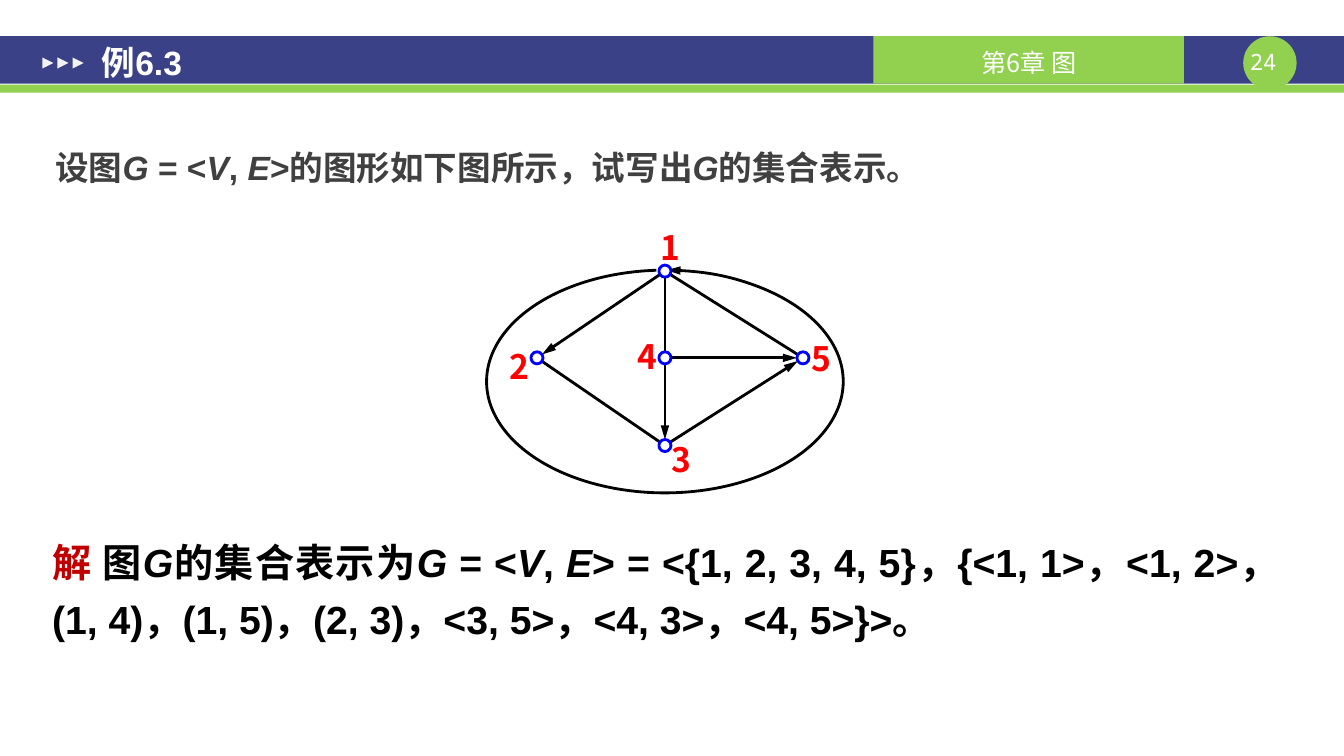
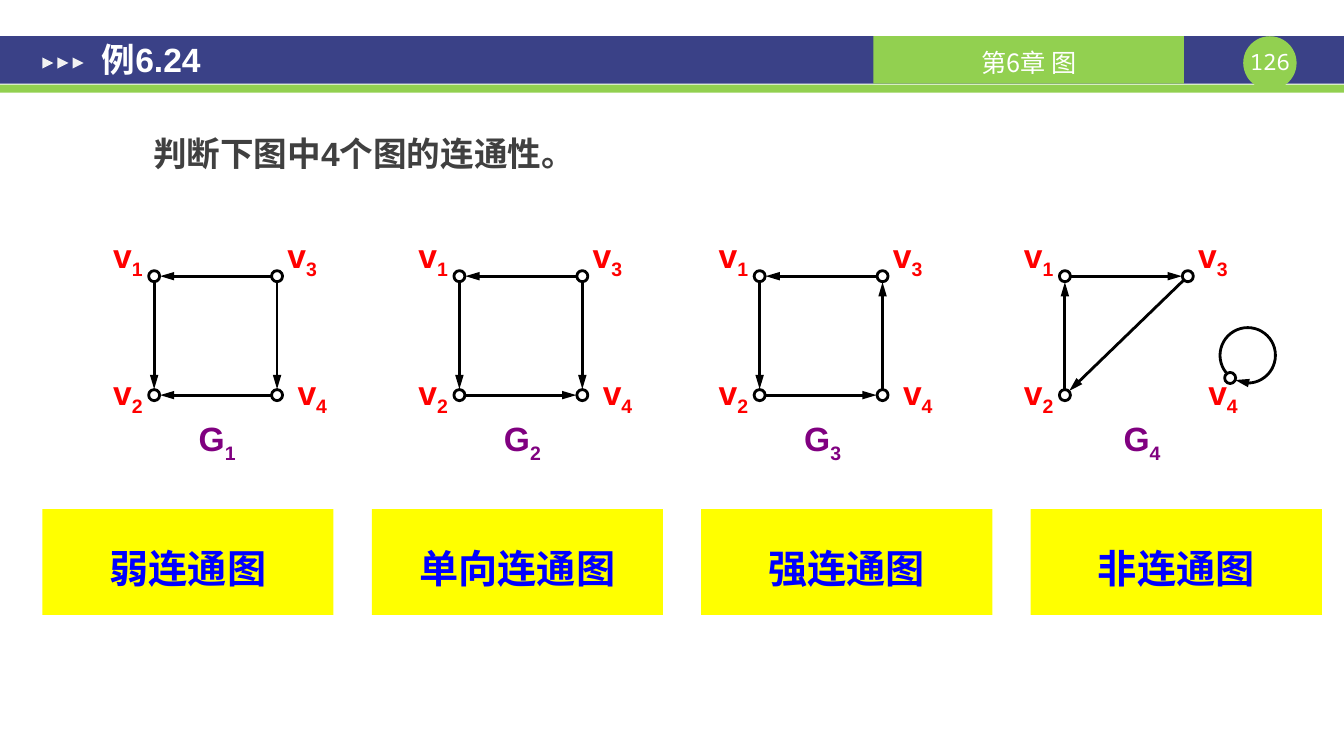
import math

from lxml import etree
from pptx import Presentation
from pptx import util as u
from pptx.dml.color import RGBColor
from pptx.enum import shapes, text
from pptx.oxml.ns import qn

COLUMNS, ROWS, CELL = 13.34, 7.5, u.Inches(1)
COLORS = {
    "band": "3A4187", "accent": "92D050", "marker": "F2F2F2", "white": "FFFFFF",
    "body": "404040", "ink": "000000", "solution": "C00000", "label": "FF0000",
    "blue": "0000FF", "name": "800080", "verdict": "FFFF00",
}
LATIN, HAN, MONO = "Arial", "Noto Sans CJK SC", "Noto Sans Mono"
SHAPE, ALIGN, ANCHOR = shapes.MSO_SHAPE, text.PP_ALIGN, text.MSO_ANCHOR
PLACEHOLDER_INSETS = (0.13, 0.07, 0.13, 0.07)
NO_INSETS = (0, 0, 0, 0)
NODE_GAP, LINE_WIDTH = 0.06, 2

FIVE_NODES = {1: (6.6, 2.69), 2: (5.33, 3.55), 3: (6.6, 4.42),
              4: (6.6, 3.55), 5: (7.97, 3.55)}
NUMBER_SPOTS = {1: (6.65, 2.25), 2: (5.16, 3.43), 3: (6.76, 4.35),
                4: (6.43, 3.33), 5: (8.15, 3.35)}
FIVE_NODE_EDGES = [(1, 2, True), (1, 4, False), (1, 5, False), (2, 3, False),
                   (3, 5, True), (4, 3, True), (4, 5, True)]

SQUARE_TOP, SQUARE_WIDTH, SQUARE_HEIGHT = 2.74, 1.22, 1.18
SQUARE = {1: (0, 0), 2: (0, SQUARE_HEIGHT),
          3: (SQUARE_WIDTH, 0), 4: (SQUARE_WIDTH, SQUARE_HEIGHT)}
VERTEX_LABELS = {1: (-0.48, -0.41), 2: (-0.48, 0.95), 3: (1.25, -0.41), 4: (1.35, 0.95)}
FOUR_GRAPHS = [
    (1.53, 0.37, [(3, 1), (1, 2), (3, 4), (4, 2)], SQUARE, "弱连通图"),
    (4.56, 0.37, [(3, 1), (1, 2), (3, 4), (2, 4)], SQUARE, "单向连通图"),
    (7.54, 0.37, [(3, 1), (1, 2), (4, 3), (2, 4)], SQUARE, "强连通图"),
    (10.57, 0.51, [(2, 1), (1, 3), (3, 2)], {**SQUARE, 4: (1.64, 1.01)}, "非连通图"),
]


def grid(*cells):
    """Turn grid cells into slide lengths."""
    return [round(cell * CELL) for cell in cells]


def color(key):
    """Look up a named colour."""
    return RGBColor.from_string(COLORS[key])


def add_figure(slide, preset, place, fill=None, line=None):
    """Add a preset shape without shadow."""
    figure = slide.shapes.add_shape(preset, *grid(*place))
    figure.shadow.inherit = False
    if fill:
        figure.fill.solid()
        figure.fill.fore_color.rgb = color(fill)
    else:
        figure.fill.background()
    if line:
        figure.line.color.rgb = color(line)
        figure.line.width = u.Pt(LINE_WIDTH)
    else:
        figure.line.fill.background()
    return figure


def write(holder, size, key, font=LATIN, bold=True, align=ALIGN.LEFT,
          insets=NO_INSETS, anchor=ANCHOR.TOP, spacing=None):
    """Prepare the frame of a shape and return its styled paragraph."""
    frame = holder.text_frame
    frame.word_wrap = True
    frame.vertical_anchor = anchor
    (frame.margin_left, frame.margin_top,
     frame.margin_right, frame.margin_bottom) = grid(*insets)
    paragraph = frame.paragraphs[0]
    paragraph.alignment = align
    if spacing:
        paragraph.line_spacing = spacing
    paragraph.font.name, paragraph.font.size = font, u.Pt(size)
    paragraph.font.bold = bold
    paragraph.font.color.rgb = color(key)
    defaults = paragraph._p.pPr.find(qn("a:defRPr"))
    etree.SubElement(defaults, qn("a:ea")).set("typeface", HAN)
    return paragraph


def add_text(slide, place, size, key, **style):
    """Add a text box and return its paragraph."""
    return write(slide.shapes.add_textbox(*grid(*place)), size, key, **style)


def add_runs(paragraph, marked):
    """Add runs, with the pieces between asterisks in italics."""
    for index, piece in enumerate(marked.split("*")):
        run = paragraph.add_run()
        run.text = piece
        if index % 2:
            run.font.italic = True


def add_subscripted(slide, place, key, letter, index):
    """Add a letter with a subscript index."""
    label = add_text(slide, place, 24, key, align=ALIGN.CENTER)
    add_runs(label, letter)
    subscript = label.add_run()
    subscript.text = str(index)
    subscript._r.get_or_add_rPr().set("baseline", "-25000")


def add_arrowhead(outline, end):
    """Put a long triangle on the headEnd or tailEnd of an outline."""
    line = outline._element.spPr.find(qn("a:ln"))
    head = etree.SubElement(line, qn("a:" + end))
    for name, value in (("type", "triangle"), ("w", "med"), ("len", "lg")):
        head.set(name, value)


def add_edge(slide, start, end, directed=True):
    """Join two node centres, stopping short of both nodes."""
    length = math.dist(start, end)
    dx, dy = [NODE_GAP * (b - a) / length for a, b in zip(start, end)]
    edge = slide.shapes.add_connector(
        shapes.MSO_CONNECTOR.STRAIGHT,
        *grid(start[0] + dx, start[1] + dy, end[0] - dx, end[1] - dy))
    edge.line.color.rgb = color("ink")
    edge.line.width = u.Pt(LINE_WIDTH)
    if directed:
        add_arrowhead(edge, "tailEnd")
    etree.SubElement(edge._element.spPr, qn("a:effectLst"))


def add_loop(slide, place, start, end, arrow_end):
    """Add a clockwise arc between two angles in degrees."""
    loop = add_figure(slide, SHAPE.ARC, place, line="ink")
    loop.adjustments[0], loop.adjustments[1] = start * 0.6, end * 0.6
    add_arrowhead(loop, arrow_end)


def add_node(slide, center, size, line):
    """Add a round node on its centre."""
    x, y = center
    add_figure(slide, SHAPE.OVAL, (x - size / 2, y - size / 2, size, size), "white", line)


def add_slide(deck, number, title, title_top):
    """Add a slide with the shared bands, chapter, number and title."""
    slide = deck.slides.add_slide(deck.slide_layouts[6])
    add_figure(slide, SHAPE.RECTANGLE, (0, 0.36, COLUMNS, 0.47), "band")
    add_figure(slide, SHAPE.RECTANGLE, (0, 0.84, COLUMNS, 0.08), "accent")
    add_figure(slide, SHAPE.OVAL, (12.34, 0.36, 0.53, 0.53), "accent")
    page = add_text(slide, (12.34, 0.48, 0.53, 0.27), 16, "white", font=MONO,
                    bold=False, align=ALIGN.CENTER)
    add_runs(page, f"{number} ")
    chapter = add_figure(slide, SHAPE.RECTANGLE, (8.67, 0.36, 3.08, 0.47), "accent")
    add_runs(write(chapter, 18, "white", font=HAN, bold=False, align=ALIGN.CENTER,
                   insets=(0.1, 0.04, 0.1, 0), anchor=ANCHOR.MIDDLE), "第6章 图")
    for step in range(3):
        marker = add_figure(slide, SHAPE.ISOSCELES_TRIANGLE,
                            (0.42 + 0.15 * step, 0.57, 0.11, 0.11), "marker")
        marker.rotation = 90
    heading = add_text(slide, (0.88, title_top, 7.7, 0.84), 24, "white",
                       insets=PLACEHOLDER_INSETS, anchor=ANCHOR.MIDDLE)
    add_runs(heading, title)
    return slide


def add_question(slide, place, marked):
    """Add the question under the title."""
    add_runs(add_text(slide, place, 24, "body", insets=PLACEHOLDER_INSETS), marked)


def add_five_node_graph(slide):
    """Draw the mixed graph with its loop at node 1."""
    add_loop(slide, (4.83, 2.68, 3.54, 2.21), 270.8, 265.6, "headEnd")
    for start, end, directed in FIVE_NODE_EDGES:
        add_edge(slide, FIVE_NODES[start], FIVE_NODES[end], directed)
    for number, center in FIVE_NODES.items():
        add_node(slide, center, 0.12, "blue")
        x, top = NUMBER_SPOTS[number]
        add_runs(add_text(slide, (x - 0.2, top, 0.4, 0.4), 24, "label", font=HAN,
                          align=ALIGN.CENTER), str(number))


def add_four_node_graph(slide, index, left, name_offset, edges, corners):
    """Draw one directed graph with its vertex labels and name."""
    centers = {v: (left + x, SQUARE_TOP + y) for v, (x, y) in corners.items()}
    for start, end in edges:
        add_edge(slide, centers[start], centers[end])
    for vertex, center in centers.items():
        add_node(slide, center, 0.11, "ink")
        dx, dy = VERTEX_LABELS[vertex]
        add_subscripted(slide, (left + dx, SQUARE_TOP + dy, 0.44, 0.55), "label", "v", vertex)
    add_subscripted(slide, (left + name_offset, 4.15, 0.51, 0.55), "name", "G", index)


def add_verdict(slide, column, verdict):
    """Add the yellow answer under a graph."""
    panel = add_figure(slide, SHAPE.RECTANGLE,
                       (0.42 + 3.27 * column, 5.05, 2.89, 1.05), "verdict")
    add_runs(write(panel, 28, "blue", align=ALIGN.CENTER,
                   insets=(0.1, 0.26, 0.1, 0.26), spacing=1.2), verdict)


def build_set_slide(deck):
    """Build the example on writing a graph as sets."""
    slide = add_slide(deck, 24, "例6.3", 0.2)
    add_question(slide, (0.42, 1.39, 12.42, 1.22),
                 "设图*G* = <*V*, *E*>的图形如下图所示，试写出*G*的集合表示。")
    add_five_node_graph(slide)
    solution = add_text(slide, (0.42, 5.2, 12.37, 1.23), 28, "ink", align=ALIGN.JUSTIFY,
                        insets=(0.1, 0.05, 0.1, 0.05), spacing=1.2)
    add_runs(solution, "解")
    solution.runs[0].font.color.rgb = color("solution")
    add_runs(solution, " 图*G*的集合表示为*G* = <*V*, *E*> = <{1, 2, 3, 4, 5}，"
                       "{<1, 1>，<1, 2>，(1, 4)，(1, 5)，(2, 3)，<3, 5>，<4, 3>，<4, 5>}>。")


def build_connectivity_slide(deck):
    """Build the example on judging connectivity."""
    slide = add_slide(deck, 126, "例6.24", 0.17)
    add_question(slide, (1.39, 1.25, 9.77, 0.89), "判断下图中4个图的连通性。")
    add_loop(slide, (12.11, 3.25, 0.55, 0.55), 141, 117, "tailEnd")
    for column, (left, name_offset, edges, corners, verdict) in enumerate(FOUR_GRAPHS):
        add_four_node_graph(slide, column + 1, left, name_offset, edges, corners)
        add_verdict(slide, column, verdict)


def main():
    """Build and save the deck."""
    deck = Presentation()
    deck.slide_width, deck.slide_height = grid(COLUMNS, ROWS)
    build_set_slide(deck)
    build_connectivity_slide(deck)
    deck.save("out.pptx")


if __name__ == "__main__":
    main()
